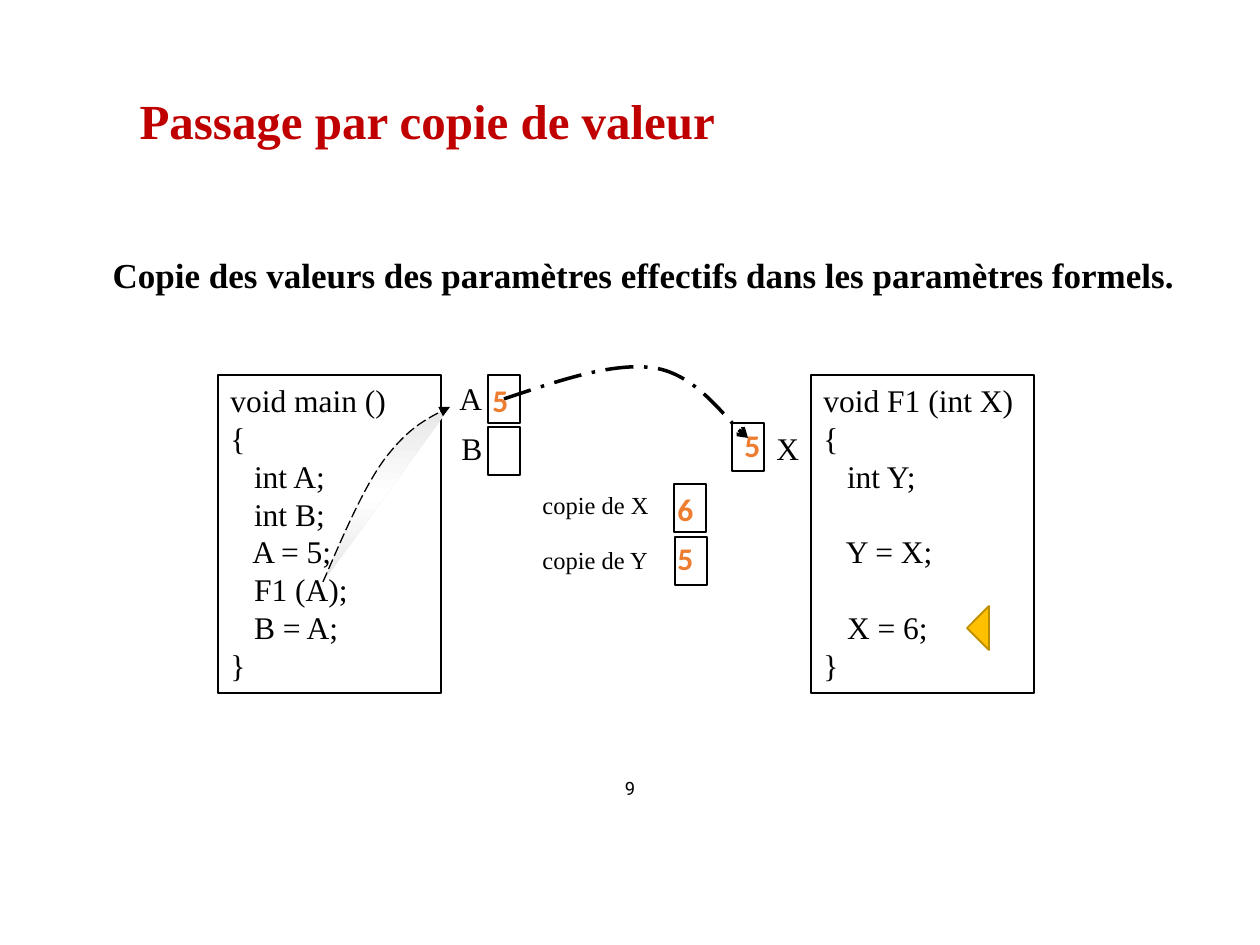
from dataclasses import dataclass
from typing import Optional

from lxml import etree
from pptx import Presentation
from pptx.dml.color import RGBColor
from pptx.enum.dml import MSO_LINE
from pptx.enum.shapes import MSO_SHAPE
from pptx.enum.text import MSO_ANCHOR, MSO_AUTO_SIZE, PP_ALIGN
from pptx.oxml.ns import qn
from pptx.util import Emu, Pt

RECTANGLE = MSO_SHAPE.RECTANGLE
TRIANGLE = MSO_SHAPE.ISOSCELES_TRIANGLE
LONG_DASH = MSO_LINE.LONG_DASH
LONG_DASH_DOT = MSO_LINE.LONG_DASH_DOT
TOP, MIDDLE = MSO_ANCHOR.TOP, MSO_ANCHOR.MIDDLE
LEFT, CENTER = PP_ALIGN.LEFT, PP_ALIGN.CENTER
NO_AUTOFIT = MSO_AUTO_SIZE.NONE
SCALE = 914400 / 126


@dataclass(frozen=True)
class Style:
    name: str
    size: float
    color: str
    bold: bool = False


@dataclass(frozen=True)
class Theme:
    ink: str = "000000"
    marker: str = "FFC000"
    marker_line: str = "BD8E00"
    gradient: tuple = ((0, "E7E6E6"), (50, "FFFFFF"), (100, "E7E6E6"))
    title: Style = Style("Times New Roman", 28, "C00000", True)
    body: Style = Style("Times New Roman", 20, "000000", True)
    code: Style = Style("Times New Roman", 18, "000000")
    caption: Style = Style("Times New Roman", 14, "000000")
    value: Style = Style("Calibri", 18, "ED7D31", True)
    page: Style = Style("Roboto", 10.5, "000000")


@dataclass(frozen=True)
class Box:
    left: int
    top: int
    width: int
    height: int

    def emu(self) -> tuple:
        return tuple(px(v) for v in (self.left, self.top, self.width, self.height))


@dataclass(frozen=True)
class Label:
    text: str
    box: Box
    style: Style
    align: PP_ALIGN = LEFT
    anchor: MSO_ANCHOR = TOP


@dataclass(frozen=True)
class Curve:
    points: tuple
    width: float
    dash: MSO_LINE
    arrow: str
    gradient: Optional[tuple] = None


THEME = Theme()
TITLE = Label("Passage par copie de valeur", Box(127, 84, 1071, 72), THEME.title)
STATEMENT = Label(
    "Copie des valeurs des paramètres effectifs dans les paramètres formels.",
    Box(100, 252, 1101, 66), THEME.body)
MAIN_CODE = """void main ()
{
   int A;
   int B;
   A = 5;
   F1 (A);
   B = A;
}"""
F1_CODE = """void F1 (int X)
{
   int Y;

   Y = X;

   X = 6;
}"""
CODE_BLOCKS = [
    Label(code, Box(left, 375, 223, 318), THEME.code)
    for code, left in ((MAIN_CODE, 218), (F1_CODE, 811))
]
MEMORY_CELLS = [
    Box(left, top, 32, 48)
    for left, top in ((488, 375), (488, 427), (732, 423), (674, 484), (675, 537))
]
LABELS = [
    *(Label(name, Box(left, top, 42, 50), THEME.code)
      for name, left, top in (("A", 447, 373), ("B", 449, 423), ("X", 764, 423))),
    *(Label(value, Box(left, top, 50, 50), THEME.value)
      for value, left, top in (("5", 480, 375), ("5", 732, 420),
                               ("6", 665, 484), ("5", 665, 533))),
    *(Label(text, Box(530, top, 135, 43), THEME.caption)
      for text, top in (("copie de X", 484), ("copie de Y", 539))),
    Label("9", Box(480, 764, 300, 48), THEME.page, CENTER, MIDDLE),
]
CURVES = [
    Curve(((504, 399), (558, 381), (612, 362), (654, 368),
           (694, 374), (732, 427), (748, 438)), 2, LONG_DASH_DOT, "arrow"),
    Curve(((323, 582), (343, 536), (363, 489), (384, 460),
           (406, 431), (427, 418), (450, 407)), 0.75, LONG_DASH, "triangle",
          THEME.gradient),
]
MARKER = Box(956, 617, 44, 22)


def px(value: int) -> Emu:
    return Emu(round(value * SCALE))


def assign(target, values: dict) -> None:
    for name, value in values.items():
        setattr(target, name, value)


def write_text(shape, label: Label) -> None:
    frame = shape.text_frame
    assign(frame, {"word_wrap": True, "auto_size": NO_AUTOFIT,
                   "vertical_anchor": label.anchor})
    frame.text = label.text
    style = label.style
    for paragraph in frame.paragraphs:
        paragraph.alignment = label.align
        assign(paragraph.font, {"name": style.name, "size": Pt(style.size),
                                "bold": style.bold})
        paragraph.font.color.rgb = RGBColor.from_string(style.color)


def place(shape, box: Box) -> None:
    assign(shape, dict(zip(("left", "top", "width", "height"), box.emu())))


def outline(shape, color: str, width: float) -> None:
    shape.shadow.inherit = False
    shape.line.color.rgb = RGBColor.from_string(color)
    shape.line.width = Pt(width)


def add_frame(slide, box: Box):
    shape = slide.shapes.add_shape(RECTANGLE, *box.emu())
    shape.fill.background()
    outline(shape, THEME.ink, 0.75)
    return shape


def add_label(slide, label: Label) -> None:
    write_text(slide.shapes.add_textbox(*label.box.emu()), label)


def add_statement(shape, label: Label) -> None:
    place(shape, label.box)
    write_text(shape, label)
    paragraph = shape.text_frame.paragraphs[0]
    assign(paragraph, {"line_spacing": 0.9, "space_before": Pt(0)})
    properties = paragraph._p.get_or_add_pPr()
    properties.set("marL", "228600")
    properties.set("indent", "-228600")
    properties.insert_element_before(
        properties.makeelement(qn("a:buNone")), "a:tabLst", "a:defRPr", "a:extLst")


def fill_gradient(shape, stops: tuple) -> None:
    shape.fill.gradient()
    shape.fill.gradient_angle = 270
    stop_list = next(shape._element.spPr.iter(qn("a:gsLst")))
    for stop in list(stop_list):
        stop_list.remove(stop)
    for percent, color in stops:
        stop = etree.SubElement(stop_list, qn("a:gs"), pos=str(percent * 1000))
        etree.SubElement(stop, qn("a:srgbClr"), val=color)


def add_curve(slide, curve: Curve) -> None:
    builder = slide.shapes.build_freeform(*curve.points[0], scale=SCALE)
    builder.add_line_segments(curve.points[1:], close=False)
    shape = builder.convert_to_shape()
    segments = list(shape._element.spPr.iter(qn("a:lnTo")))
    for start in range(0, len(segments), 3):
        bezier = etree.SubElement(segments[start].getparent(), qn("a:cubicBezTo"))
        for segment in segments[start:start + 3]:
            bezier.append(segment[0])
            segment.getparent().remove(segment)
    if curve.gradient:
        fill_gradient(shape, curve.gradient)
    else:
        shape.fill.background()
    outline(shape, THEME.ink, curve.width)
    shape.line.dash_style = curve.dash
    etree.SubElement(shape.line._get_or_add_ln(), qn("a:tailEnd"), type=curve.arrow)


def add_marker(slide) -> None:
    shape = slide.shapes.add_shape(TRIANGLE, *MARKER.emu())
    shape.rotation = 270
    shape.fill.solid()
    shape.fill.fore_color.rgb = RGBColor.from_string(THEME.marker)
    outline(shape, THEME.marker_line, 1)


def main() -> None:
    presentation = Presentation()
    assign(presentation, {"slide_width": px(1260), "slide_height": px(945)})
    slide = presentation.slides.add_slide(presentation.slide_layouts[1])
    place(slide.shapes.title, TITLE.box)
    write_text(slide.shapes.title, TITLE)
    add_statement(slide.placeholders[1], STATEMENT)
    for block in CODE_BLOCKS:
        write_text(add_frame(slide, block.box), block)
    for cell in MEMORY_CELLS:
        add_frame(slide, cell)
    for curve in CURVES:
        add_curve(slide, curve)
    for label in LABELS:
        add_label(slide, label)
    add_marker(slide)
    presentation.save("out.pptx")


if __name__ == "__main__":
    main()
